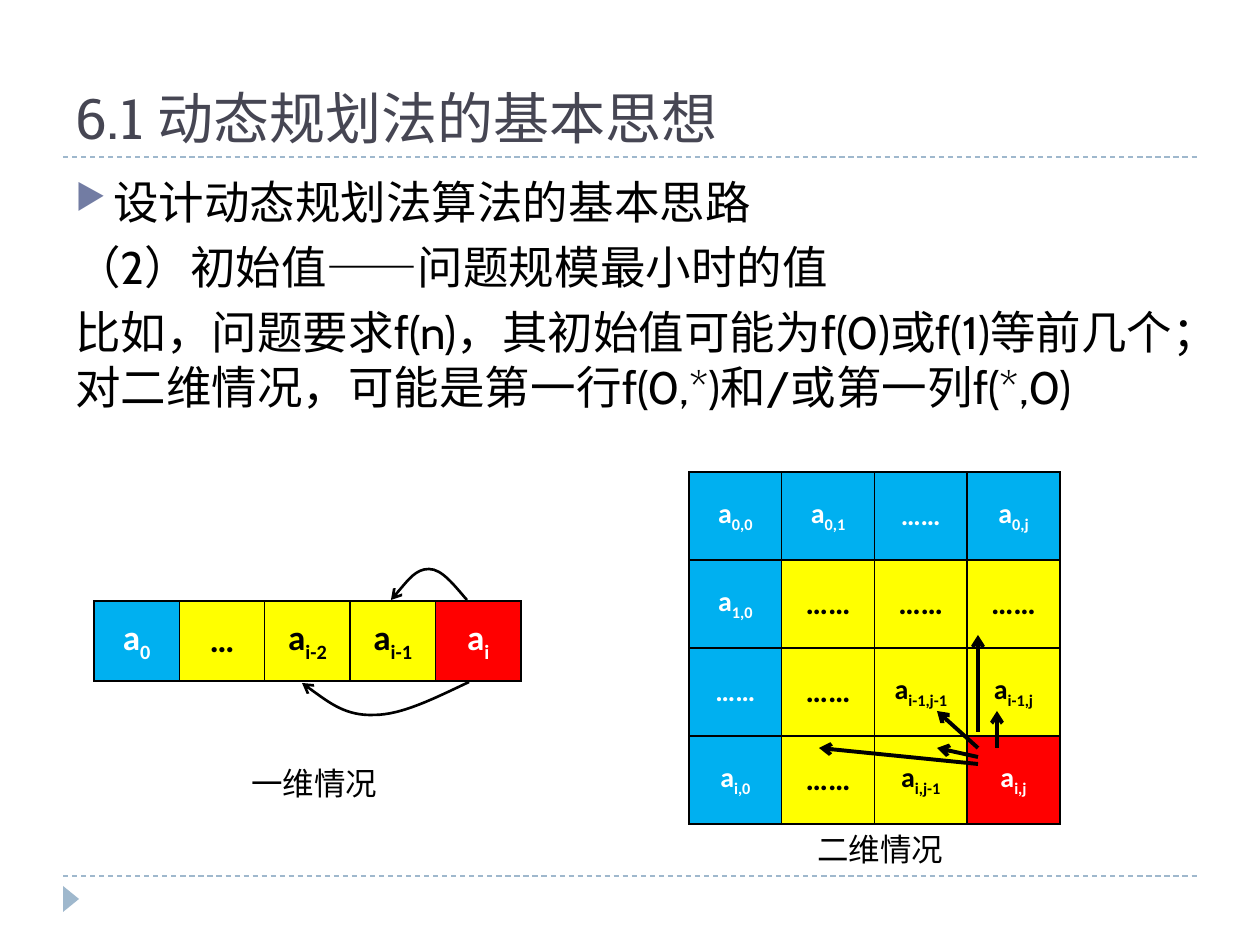
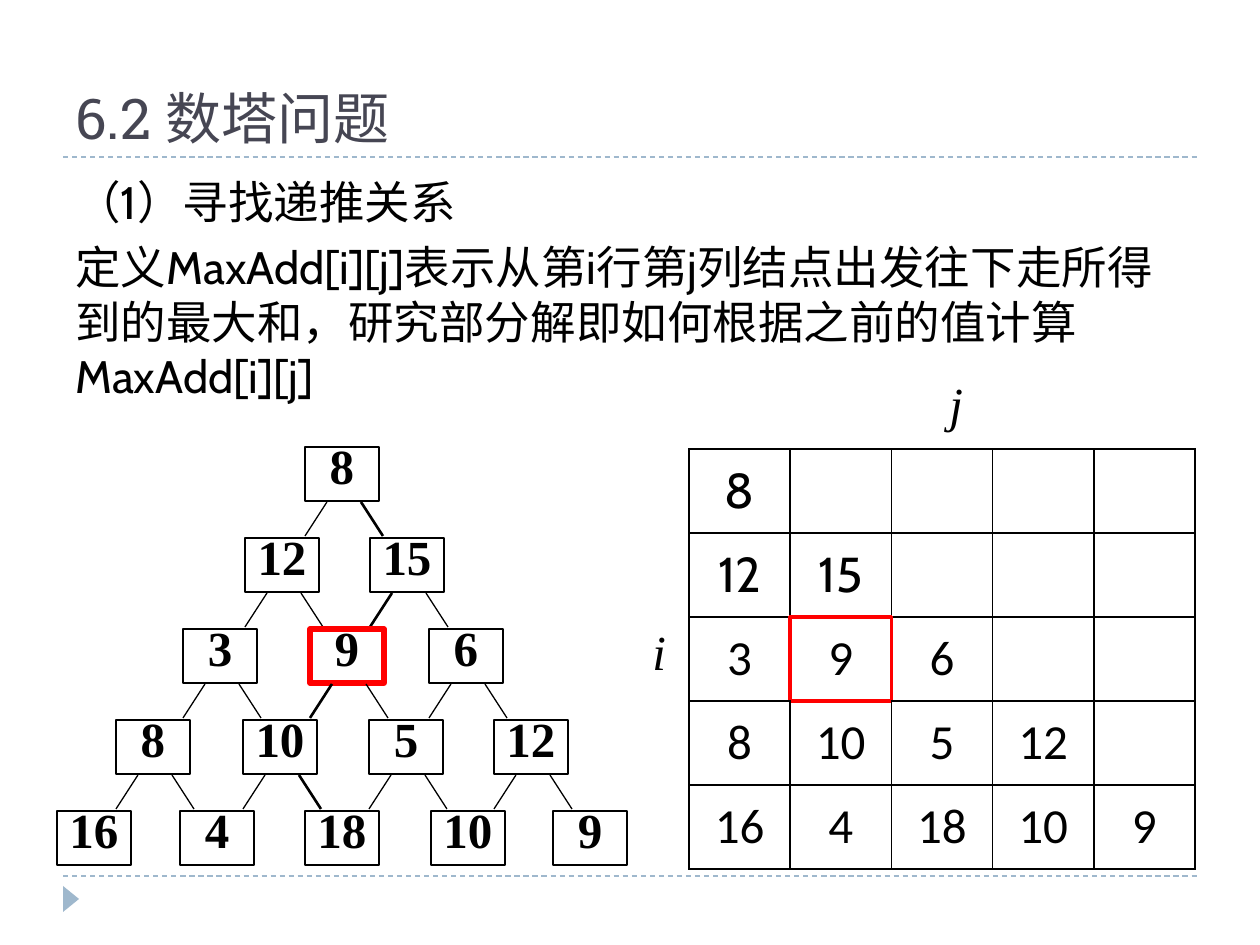
from lxml.etree import SubElement
from pptx import Presentation
from pptx.dml.color import RGBColor
from pptx.enum.dml import MSO_LINE
from pptx.enum.shapes import MSO_CONNECTOR, MSO_SHAPE
from pptx.enum.text import MSO_ANCHOR, PP_ALIGN
from pptx.oxml.ns import qn
from pptx.util import Pt

PAGE_WIDTH, PAGE_HEIGHT = 1260, 945
EMU_PER_PX = 914400 / 126

COLORS = {
    "title": "464653", "rule": "9FB8CD", "bullet": "727CA3",
    "black": "000000", "white": "FFFFFF", "blue": "00B0F0",
    "yellow": "FFFF00", "red": "FF0000",
}
TITLE = {"name": "Roboto Slab", "size": 32, "color": "title"}
BODY = {"name": "Cabin", "size": 26, "color": "black"}
CAPTION = {"name": "Calibri", "size": 18, "color": "black"}
AXIS = {"name": "Times New Roman", "size": 28, "italic": True, "color": "black"}
NODE = {"name": "Times New Roman", "size": 28, "bold": True, "color": "black"}

TITLE_BOX = (63, 21, 1134, 136)
BODY_BOX = (63, 168, 1134, 680)
SIDES = {"lnL": (0, -1), "lnR": (0, 1), "lnT": (-1, 0), "lnB": (1, 0)}


def px(*lengths):
    return [round(length * EMU_PER_PX) for length in lengths]


def rgb(color):
    return RGBColor.from_string(COLORS[color])


def style_font(font, values):
    for name, value in values.items():
        if name == "color":
            font.color.rgb = rgb(value)
        else:
            setattr(font, name, Pt(value) if name == "size" else value)


def write(para, text, style):
    """Write text; the part after "_" is set as a subscript."""
    for index, part in enumerate(text.split("_")):
        span = para.add_run()
        span.text = part
        style_font(span.font, style)
        if index:
            span.font._element.set("baseline", "-25000")


def add_text(page, box, lines, style, wrap=True, anchor=MSO_ANCHOR.TOP):
    frame = page.shapes.add_textbox(*px(*box)).text_frame
    frame.word_wrap = wrap
    frame.vertical_anchor = anchor
    for index, line in enumerate(lines):
        para = frame.paragraphs[0]
        if index:
            para = frame.add_paragraph()
            para.space_before = Pt(6)
        write(para, line, style)
    return frame


def add_bullet(para):
    props = para._p.get_or_add_pPr()
    indent = px(38)[0]
    props.set("marL", str(indent))
    props.set("indent", str(-indent))
    color = SubElement(props, qn("a:buClr"))
    SubElement(color, qn("a:srgbClr"), val=COLORS["bullet"])
    SubElement(props, qn("a:buSzPct"), val="76000")
    SubElement(props, qn("a:buChar"), char="▶")


def style_line(shape, color, width, arrow=False):
    shape.line.color.rgb = rgb(color)
    shape.line.width = Pt(width)
    if arrow:
        line = shape._element.spPr.find(qn("a:ln"))
        SubElement(line, qn("a:tailEnd"), type="arrow")


def add_line(shapes, start, end, width, color="black", arrow=False):
    line = shapes.add_connector(MSO_CONNECTOR.STRAIGHT, *px(*start, *end))
    style_line(line, color, width, arrow)
    SubElement(line._element.spPr, qn("a:effectLst"))
    return line


def add_curved_arrow(page, left, top, points):
    """Draw Bezier segments: a start, then two controls and an end for each."""
    start, *rest = [tuple(px(left + x, top + y)) for x, y in points]
    builder = page.shapes.build_freeform(*start, scale=1.0)
    builder.add_line_segments(rest, close=False)
    curve = builder.convert_to_shape()
    curve.shadow.inherit = False
    curve.fill.background()
    style_line(curve, "black", 1.5, arrow=True)
    outline = next(curve._element.iter(qn("a:path")))
    steps = outline.findall(qn("a:lnTo"))
    for index in range(0, len(steps), 3):
        segment = SubElement(outline, qn("a:cubicBezTo"))
        for step in steps[index:index + 3]:
            segment.append(step[0])
            outline.remove(step)


def set_borders(cell, place, marked):
    """Draw black borders, and red ones wherever the marked cell touches."""
    props = cell._tc.get_or_add_tcPr()
    for index, (side, (down, across)) in enumerate(SIDES.items()):
        neighbour = (place[0] + down, place[1] + across)
        red = marked in (place, neighbour)
        line = SubElement(props, qn(f"a:{side}"), w=str(Pt(2.25 if red else 1)))
        fill = SubElement(line, qn("a:solidFill"))
        SubElement(fill, qn("a:srgbClr"), val=COLORS["red" if red else "black"])
        props.insert(index, line)


def add_grid(page, box, rows, cell_format, marked=None):
    """cell_format(row, column, text) gives the fill and the text style."""
    shape = page.shapes.add_table(len(rows), len(rows[0]), *px(*box))
    table = shape.table
    table.first_row = table.horz_banding = False
    for column in table.columns:
        column.width = px(box[2] / len(rows[0]))[0]
    for row_index, row in enumerate(rows):
        table.rows[row_index].height = px(box[3] / len(rows))[0]
        for column_index, text in enumerate(row):
            cell = table.cell(row_index, column_index)
            fill, style = cell_format(row_index, column_index, text)
            cell.fill.solid()
            cell.fill.fore_color.rgb = rgb(fill)
            cell.vertical_anchor = MSO_ANCHOR.MIDDLE
            set_borders(cell, (row_index, column_index), marked)
            if text:
                para = cell.text_frame.paragraphs[0]
                para.alignment = PP_ALIGN.CENTER
                write(para, text, style)


def add_page(deck, title, lines):
    page = deck.slides.add_slide(deck.slide_layouts[6])
    for y in (876, 157):
        rule = add_line(page.shapes, (63, y), (1197, y), 0.75, "rule")
        rule.line.dash_style = MSO_LINE.DASH
    marker = page.shapes.add_shape(MSO_SHAPE.ISOSCELES_TRIANGLE, *px(58, 891, 26, 16))
    marker.rotation = 90
    marker.shadow.inherit = False
    marker.fill.solid()
    marker.fill.fore_color.rgb = rgb("rule")
    marker.line.fill.background()
    add_text(page, TITLE_BOX, [title], TITLE, anchor=MSO_ANCHOR.BOTTOM)
    return page, add_text(page, BODY_BOX, lines, BODY)


def state_format(fill, size):
    color = "black" if fill == "yellow" else "white"
    return fill, {"name": "Calibri", "size": size, "bold": True, "color": color}


def add_one_dimension(page, box):
    left, top, width, height = box
    cells = ["a_0", "…", "a_i-2", "a_i-1", "a_i"]
    fills = ["blue", "yellow", "yellow", "yellow", "red"]
    add_grid(page, box, [cells],
             lambda row, column, text: state_format(fills[column], 20))
    add_curved_arrow(page, left, top, [
        (373, -1), (360, -16), (348, -32), (335, -32),
        (322, -32), (310, -16), (297, -1)])
    add_curved_arrow(page, left, top + height, [
        (375, 1), (341, 17), (308, 34), (280, 34),
        (252, 35), (230, 18), (208, 2)])
    add_text(page, (left + 145, top + 157, 152, 50), ["一维情况"], CAPTION, wrap=False)


def add_two_dimensions(page, box):
    left, top, width, height = box
    rows = [
        ["a_0,0", "a_0,1", "……", "a_0,j"],
        ["a_1,0", "……", "……", "……"],
        ["……", "……", "a_i-1,j-1", "a_i-1,j"],
        ["a_i,0", "……", "a_i,j-1", "a_i,j"],
    ]

    def cell_format(row, column, text):
        if row == 0 or column == 0:
            return state_format("blue", 16)
        if row == column == 3:
            return state_format("red", 16)
        return state_format("yellow", 18 if text == "……" else 16)

    add_grid(page, box, rows, cell_format)
    arrows = [
        ((308, 276), (308, 239)), ((289, 260), (289, 163)),
        ((289, 276), (248, 239)), ((289, 285), (248, 276)),
        ((289, 292), (130, 276)),
    ]
    for ends in arrows:
        start, end = [(left + x, top + y) for x, y in ends]
        add_line(page.shapes, start, end, 2.25, arrow=True)
    add_text(page, (left + 116, top + height, 152, 50), ["二维情况"], CAPTION, wrap=False)


def add_number_tower(page, left, top, rows, marked):
    """Each row lists pairs of a number and the x of its node."""
    width, height, pitch = 74, 54, 91
    best_edges = {(0, 0, 1), (1, 1, -1), (2, 1, -1), (3, 1, 1)}
    shapes = page.shapes.add_group_shape().shapes
    for row, nodes in enumerate(rows):
        y = top + row * pitch
        for column, (number, offset) in enumerate(nodes):
            x = left + offset
            node = shapes.add_shape(MSO_SHAPE.RECTANGLE, *px(x, y, width, height))
            node.shadow.inherit = False
            node.fill.solid()
            node.fill.fore_color.rgb = rgb("white")
            red = (row, column) == marked
            style_line(node, "red" if red else "black", 3 if red else 0.75)
            frame = node.text_frame
            for side in ("left", "top", "right", "bottom"):
                setattr(frame, f"margin_{side}", 0)
            frame.vertical_anchor = MSO_ANCHOR.TOP
            para = frame.paragraphs[0]
            para.alignment = PP_ALIGN.CENTER
            para.line_spacing = 0.8
            write(para, str(number), NODE)
            if row == len(rows) - 1:
                continue
            middle = x + width / 2 + 2
            for side in (-1, 1):
                best = (row, column, side) in best_edges
                add_line(shapes, (middle + 17 * side, y + 55),
                         (middle + 39 * side, y + 89), 1.5 if best else 0.75)


def add_number_table(page, box, rows, marked):
    left, top, width, height = box
    size = len(rows)
    numbers = [[str(number) for number, _ in row] + [""] * (size - len(row))
               for row in rows]

    def cell_format(row, column, text):
        name = "Cabin" if row < 2 else "Calibri"
        return "white", {"name": name, "size": 28, "color": "black"}

    add_grid(page, box, numbers, cell_format, marked)
    add_text(page, (left - 49, top + 166, 39, 72), ["i"], AXIS, wrap=False)
    add_text(page, (left + 248, top - 82, 39, 72), ["j"], AXIS, wrap=False)


def build_idea_page(deck):
    page, body = add_page(deck, "6.1 动态规划法的基本思想", [
        "设计动态规划法算法的基本思路",
        "（2）初始值——问题规模最小时的值",
        "比如，问题要求f(n)，其初始值可能为f(0)或f(1)等前几个；"
        "对二维情况，可能是第一行f(0,*)和/或第一列f(*,0)",
    ])
    add_bullet(body.paragraphs[0])
    add_one_dimension(page, (94, 601, 427, 80))
    add_two_dimensions(page, (689, 472, 371, 352))


def build_tower_page(deck):
    page, _ = add_page(deck, "6.2 数塔问题", [
        "（1）寻找递推关系",
        "定义MaxAdd[i][j]表示从第i行第j列结点出发往下走所得到的最大和，"
        "研究部分解即如何根据之前的值计算MaxAdd[i][j]",
    ])
    rows = [
        [(8, 248)],
        [(12, 188), (15, 313)],
        [(3, 126), (9, 253), (6, 372)],
        [(8, 59), (10, 186), (5, 312), (12, 437)],
        [(16, 0), (4, 123), (18, 248), (10, 374), (9, 496)],
    ]
    marked = (2, 1)
    add_number_tower(page, 57, 447, rows, marked)
    add_number_table(page, (689, 449, 506, 420), rows, marked)


def main():
    deck = Presentation()
    deck.slide_width, deck.slide_height = px(PAGE_WIDTH, PAGE_HEIGHT)
    build_idea_page(deck)
    build_tower_page(deck)
    deck.save("out.pptx")


if __name__ == "__main__":
    main()
